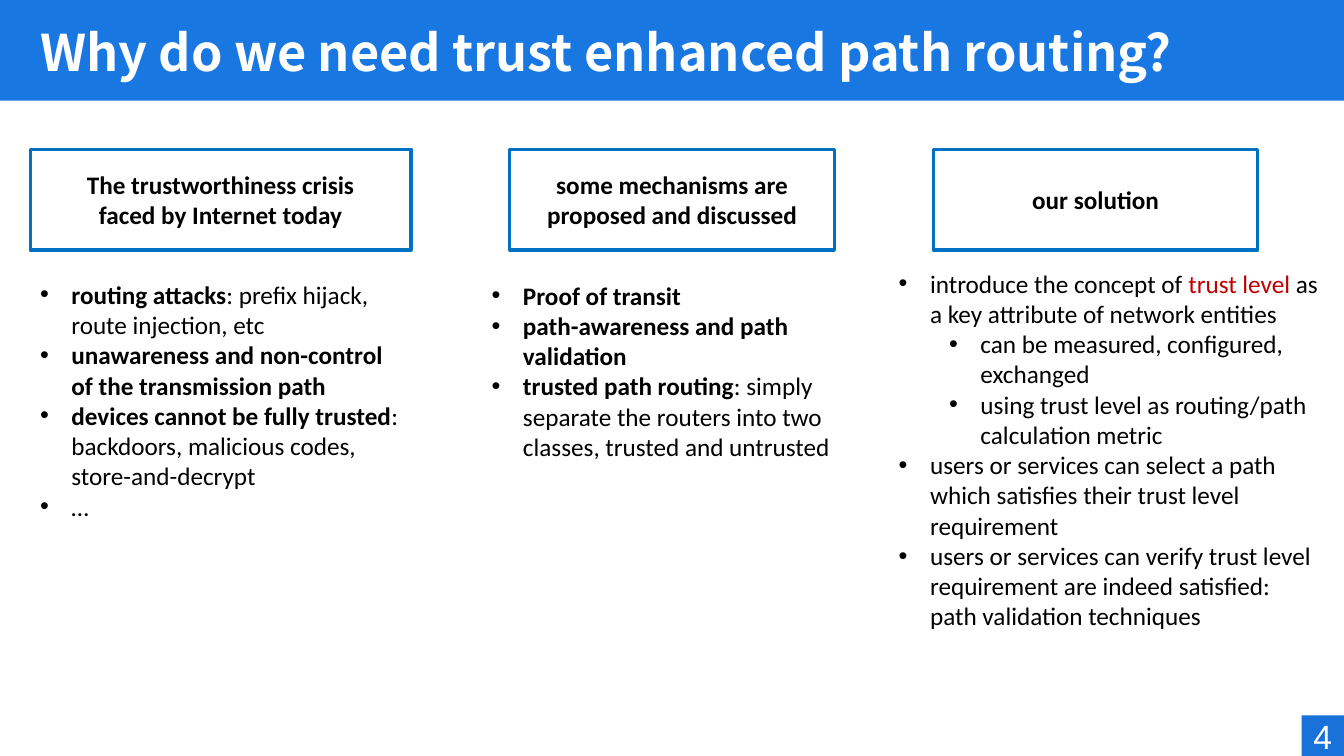
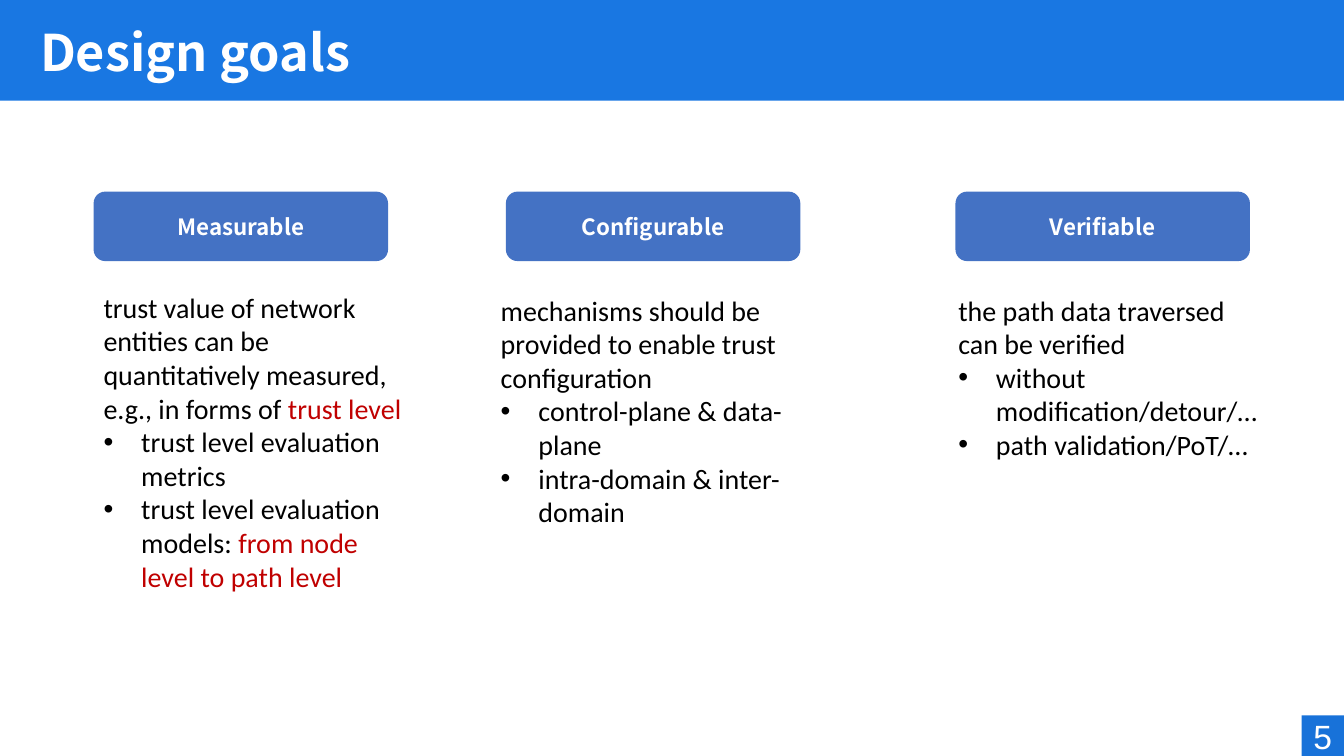
"""Build two slides on trust enhanced path routing."""
from lxml.etree import SubElement
from pptx import Presentation
from pptx.dml.color import RGBColor
from pptx.enum.shapes import MSO_SHAPE
from pptx.enum.text import MSO_ANCHOR, PP_ALIGN
from pptx.oxml.ns import qn
from pptx.util import Cm, Pt

COLORS = {
    "band": "1977E2", "number": "1872D9", "frame": "0070C0", "goal": "4472C4",
    "white": "FFFFFF", "text": "000000", "accent": "C00000",
}
BODY_FONT, HEAD_FONT, NUMBER_FONT = "Calibri", "Noto Sans CJK SC", "Arial"
SLIDE_W, SLIDE_H = 33.87, 19.05
BAND_H = 2.54
NUMBER_W, NUMBER_H = 1.07, 1.02
SUB_INDENT = 1.27

BOLD = {"bold": True}
RED = {"color": "accent"}

# Each paragraph is (bullet level or None, runs); each run is (text, format).
SLIDES = [
    {
        "title": "Why do we need trust enhanced path routing?",
        "number": 4,
        "head": {"shape": MSO_SHAPE.RECTANGLE, "line": "frame"},
        "head_text": {"font": BODY_FONT, "size": 18, "color": "text"},
        "head_top": 3.76, "head_height": 2.54, "head_text_width": 6.96,
        "body_size": 18, "indent": 0.79,
        "columns": [
            {
                "head": "The trustworthiness crisis faced by Internet today",
                "head_span": (0.76, 9.6),
                "body_box": (0.76, 6.91, 9.6, 6.4),
                "body": [
                    (0, [("routing attacks", BOLD), (": prefix hijack, route injection, etc", {})]),
                    (0, [("unawareness and non-control of the transmission path", BOLD)]),
                    (0, [("devices cannot be fully trusted", BOLD),
                         (": backdoors, malicious codes, store-and-decrypt", {})]),
                    (0, [("…", {})]),
                ],
            },
            {
                "head": "some mechanisms are proposed and discussed",
                "head_span": (12.85, 8.18),
                "body_box": (12.14, 6.93, 9.6, 4.88),
                "body": [
                    (0, [("Proof of transit", BOLD)]),
                    (0, [("path-awareness and path validation", BOLD)]),
                    (0, [("trusted path routing", BOLD),
                         (": simply separate the routers into two classes, "
                          "trusted and untrusted", {})]),
                ],
            },
            {
                "head": "our solution",
                "head_span": (23.52, 8.18),
                "body_box": (22.4, 6.63, 11.07, 9.5),
                "body": [
                    (0, [("introduce the concept of ", {}), ("trust level ", RED),
                         ("as a key attribute of network entities", {})]),
                    (1, [("can be measured, configured, exchanged", {})]),
                    (1, [("using trust level as routing/path calculation metric", {})]),
                    (0, [("users or services can select a path which satisfies "
                          "their trust level requirement", {})]),
                    (0, [("users or services can verify trust level requirement "
                          "are indeed satisfied: path validation techniques", {})]),
                ],
            },
        ],
    },
    {
        "title": "Design goals",
        "number": 5,
        "head": {"shape": MSO_SHAPE.ROUNDED_RECTANGLE, "fill": "goal"},
        "head_text": {"font": HEAD_FONT, "size": 16, "color": "white"},
        "head_top": 4.83, "head_height": 1.75, "head_text_width": 6.9,
        "body_size": 20, "indent": 0.95,
        "columns": [
            {
                "head": "Measurable",
                "head_span": (2.36, 7.42),
                "body_box": (2.36, 7.19, 8.18, 7.95),
                "body": [
                    (None, [("trust value of network entities can be quantitatively "
                             "measured, e.g., in forms of ", {}), ("trust level", RED)]),
                    (0, [("trust level evaluation metrics", {})]),
                    (0, [("trust level evaluation models: ", {}),
                         ("from node level to path level", RED)]),
                ],
            },
            {
                "head": "Configurable",
                "head_span": (12.75, 7.42),
                "body_box": (12.37, 7.26, 8.18, 7.95),
                "body": [
                    (None, [("mechanisms should be provided to enable trust configuration", {})]),
                    (0, [("control-plane & data-plane", {})]),
                    (0, [("intra-domain & inter-domain", {})]),
                ],
            },
            {
                "head": "Verifiable",
                "head_span": (24.08, 7.42),
                "body_box": (23.9, 7.26, 8.18, 4.52),
                "body": [
                    (None, [("the path data traversed can be verified", {})]),
                    (0, [("without modification/detour/…", {})]),
                    (0, [("path validation/PoT/…", {})]),
                ],
            },
        ],
    },
]


def rgb(name):
    return RGBColor.from_string(COLORS[name])


def add_bullet(paragraph, level, indent):
    paragraph.level = level
    properties = paragraph._p.get_or_add_pPr()
    properties.set("marL", str(Cm(indent + SUB_INDENT * level)))
    properties.set("indent", str(-Cm(indent)))
    SubElement(properties, qn("a:buFont")).set("typeface", "Arial")
    SubElement(properties, qn("a:buChar")).set("char", "•")


def write_text(holder, content, font=BODY_FONT, size=18, color="text", bold=False,
               align=PP_ALIGN.LEFT, anchor=MSO_ANCHOR.TOP, wrap=True, indent=0,
               spacing=None, side_margin=0.25):
    """Write a string or a list of (level, runs) paragraphs into a shape."""
    frame = holder.text_frame
    frame.word_wrap = wrap
    frame.vertical_anchor = anchor
    frame.margin_left = frame.margin_right = Cm(side_margin)
    paragraphs = [(None, [(content, {})])] if isinstance(content, str) else content
    for position, (level, runs) in enumerate(paragraphs):
        paragraph = frame.add_paragraph() if position else frame.paragraphs[0]
        paragraph.alignment = align
        if spacing:
            paragraph.line_spacing = spacing
        if level is not None:
            add_bullet(paragraph, level, indent)
        for words, style in runs:
            run = paragraph.add_run()
            run.text = words
            run.font.name = font
            run.font.size = Pt(size)
            run.font.bold = style.get("bold", bold)
            run.font.color.rgb = rgb(style.get("color", color))


def add_box(slide, box, shape=MSO_SHAPE.RECTANGLE, fill=None, line=None):
    panel = slide.shapes.add_shape(shape, *map(Cm, box))
    panel.shadow.inherit = False
    if fill:
        panel.fill.solid()
        panel.fill.fore_color.rgb = rgb(fill)
    else:
        panel.fill.background()
    if line:
        panel.line.color.rgb = rgb(line)
        panel.line.width = Pt(2.25)
    else:
        panel.line.fill.background()
    return panel


def add_text_box(slide, box, content, **style):
    write_text(slide.shapes.add_textbox(*map(Cm, box)), content, **style)


def add_frame(slide, title, number):
    add_box(slide, (0, 0, SLIDE_W, BAND_H), fill="band")
    add_text_box(slide, (0.76, 0.13, 30.78, BAND_H), title, font=HEAD_FONT, size=36,
                 color="white", bold=True, anchor=MSO_ANCHOR.MIDDLE, spacing=0.9)
    corner = (SLIDE_W - NUMBER_W, SLIDE_H - NUMBER_H, NUMBER_W, NUMBER_H)
    write_text(add_box(slide, corner, fill="number"), str(number), font=NUMBER_FONT, size=24,
               color="white", align=PP_ALIGN.CENTER, anchor=MSO_ANCHOR.MIDDLE, wrap=False)


def add_column(slide, topic, column):
    left, width = column["head_span"]
    head = add_box(slide, (left, topic["head_top"], width, topic["head_height"]), **topic["head"])
    write_text(head, column["head"], bold=True, align=PP_ALIGN.CENTER, anchor=MSO_ANCHOR.MIDDLE,
               side_margin=(width - topic["head_text_width"]) / 2, **topic["head_text"])
    add_text_box(slide, column["body_box"], column["body"],
                 size=topic["body_size"], indent=topic["indent"])


def main():
    deck = Presentation()
    deck.slide_width, deck.slide_height = Cm(SLIDE_W), Cm(SLIDE_H)
    for topic in SLIDES:
        slide = deck.slides.add_slide(deck.slide_layouts[6])
        add_frame(slide, topic["title"], topic["number"])
        for column in topic["columns"]:
            add_column(slide, topic, column)
    deck.save("out.pptx")


if __name__ == "__main__":
    main()
